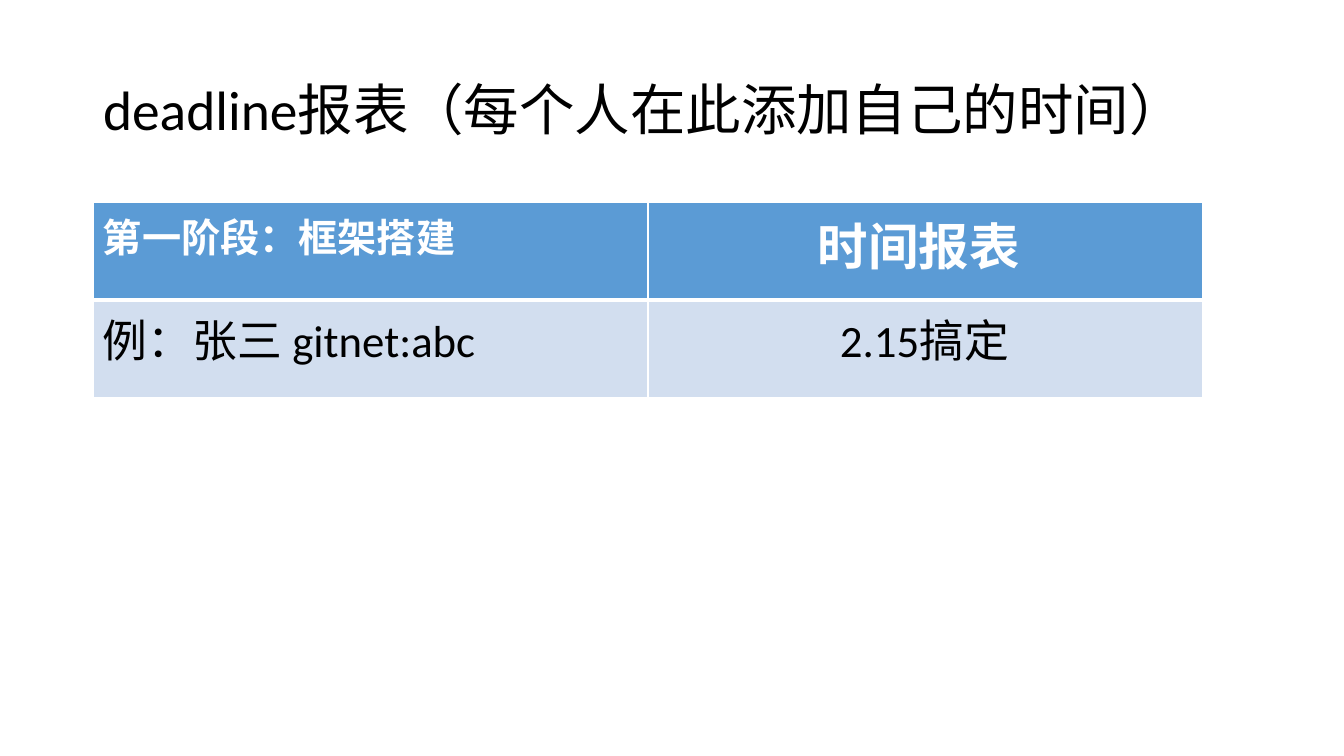
from lxml.etree import SubElement
from pptx import Presentation
from pptx.dml.color import RGBColor
from pptx.enum.text import MSO_ANCHOR, MSO_AUTO_SIZE, PP_ALIGN
from pptx.oxml.ns import qn
from pptx.util import Pt

EMU_PER_PX = 12192000 / 1344
FONT = "Calibri"
BLACK, WHITE = "000000", "FFFFFF"
BLUE, PALE_BLUE = "5B9BD5", "D2DEEF"


def px(n):
    return round(n * EMU_PER_PX)


def rgb(value):
    return RGBColor.from_string(value)


def write(tf, text, size, color=BLACK, bold=False, spacing=1.0):
    tf.word_wrap = True
    p = tf.paragraphs[0]
    p.alignment = PP_ALIGN.LEFT
    p.line_spacing = spacing
    r = p.add_run()
    r.text = text
    r.font.name = FONT
    r.font.size = Pt(size)
    r.font.bold = bold
    r.font.color.rgb = rgb(color)


def border(cell, side, width):
    ln = SubElement(cell._tc.get_or_add_tcPr(), qn(f"a:ln{side}"), w=str(Pt(width)))
    SubElement(SubElement(ln, qn("a:solidFill")), qn("a:srgbClr"), val=WHITE)


class Deck:
    def __init__(self):
        self.prs = Presentation()
        self.prs.slide_width, self.prs.slide_height = px(1344), px(756)
        self.s = self.prs.slides.add_slide(self.prs.slide_layouts[5])

    def title(self, text, x, y, w, h, size):
        sp = self.s.shapes.title
        sp.left, sp.top, sp.width, sp.height = px(x), px(y), px(w), px(h)
        tf = sp.text_frame
        tf.auto_size = MSO_AUTO_SIZE.NONE
        tf.vertical_anchor = MSO_ANCHOR.MIDDLE
        write(tf, text, size, spacing=0.9)

    def table(self, rows, x, y, col_w, row_h):
        n = len(rows[0])
        tbl = self.s.shapes.add_table(
            len(rows), n, px(x), px(y), px(col_w * n), px(row_h * len(rows))).table
        for col in tbl.columns:
            col.width = px(col_w)
        for i, row in enumerate(rows):
            tbl.rows[i].height = px(row_h)
            for j, (text, size, indent) in enumerate(row):
                self.cell(tbl.cell(i, j), text, size, indent, header=i == 0)

    def cell(self, cell, text, size, indent, header):
        cell.margin_left = px(indent)
        top, bottom = (1, 3) if header else (3, 1)
        for side, width in zip("LRTB", (1, 1, top, bottom)):
            border(cell, side, width)
        cell.fill.solid()
        cell.fill.fore_color.rgb = rgb(BLUE if header else PALE_BLUE)
        write(cell.text_frame, text, size, WHITE if header else BLACK, header)


def main():
    deck = Deck()
    deck.title("deadline报表（每个人在此添加自己的时间）", 93, 40, 1159, 146, 39.6)
    deck.table([
        [("第一阶段：框架搭建", 28, 10), ("时间报表", 36, 170)],
        [("例：张三 gitnet:abc", 32, 10), ("2.15搞定", 32, 192)],
    ], 93, 202, 555, 98)
    deck.prs.save("out.pptx")


if __name__ == "__main__":
    main()
